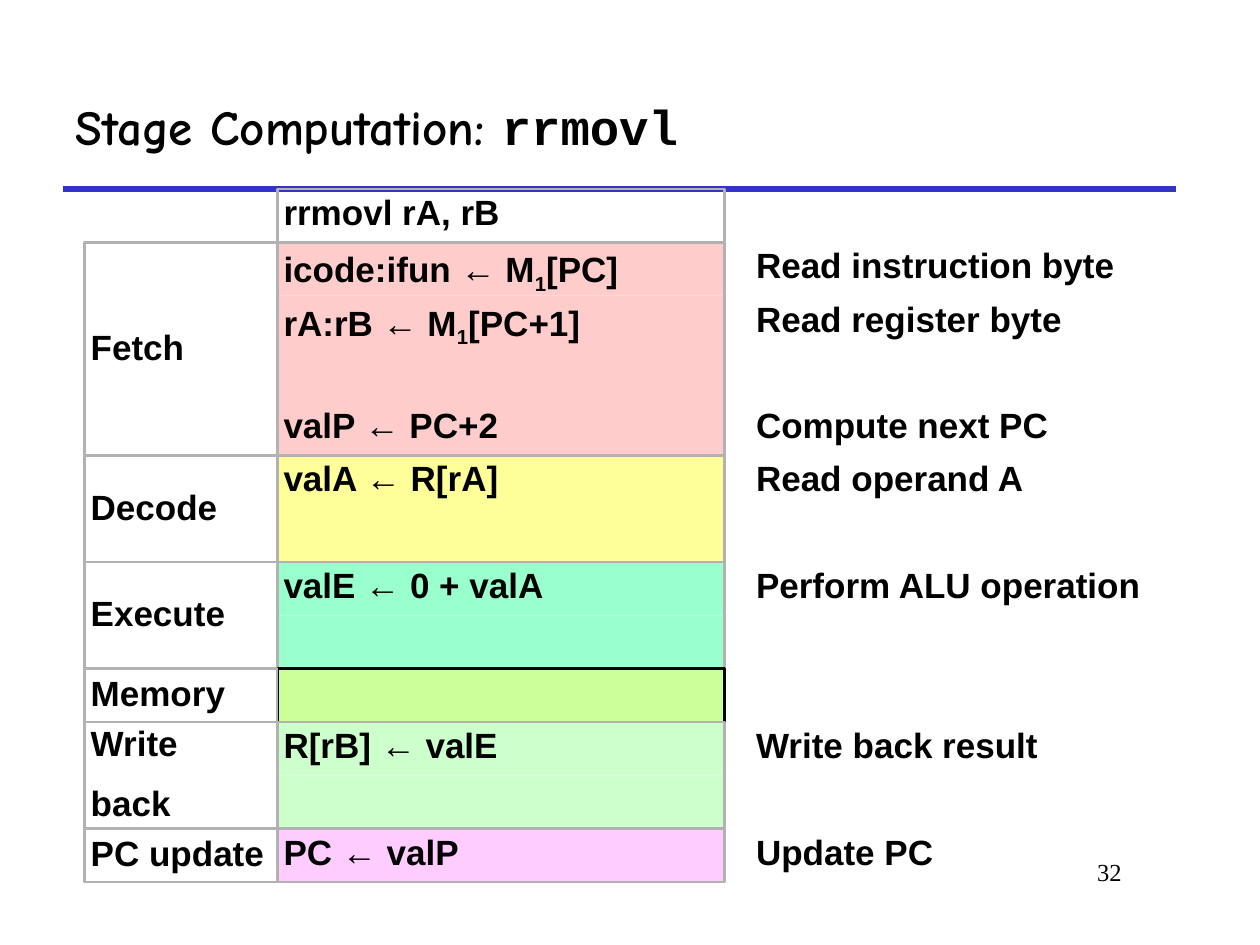
import pptx
import pptx.dml.color
import pptx.enum.shapes
import pptx.enum.text
import pptx.oxml.ns
import pptx.util
from lxml import etree

Inches = pptx.util.Inches
ANCHOR = pptx.enum.text.MSO_ANCHOR
ALIGN = pptx.enum.text.PP_ALIGN

GRAY = "B2B2B2"
TOP, BOTTOM, ROW_COUNT = 1.5, 7.0, 13
ROW_HEIGHT = (BOTTOM - TOP) / ROW_COUNT
STAGE_LEFT, STAGE_WIDTH = 0.67, 1.53
STEP_LEFT, NOTE_LEFT, STEP_WIDTH = 2.2, 5.95, 3.55

# Stage, fill, border, and one (step, note) pair per row; ~ encloses a subscript.
STAGES = [
    ("Fetch", "FFCCCC", GRAY, [
        ("icode:ifun ← M~1~[PC]", "Read instruction byte"),
        ("rA:rB ← M~1~[PC+1]", "Read register byte"),
        ("", ""),
        ("valP ← PC+2", "Compute next PC")]),
    ("Decode", "FFFF99", GRAY, [("valA ← R[rA]", "Read operand A"), ("", "")]),
    ("Execute", "99FFCC", GRAY, [("valE ← 0 + valA", "Perform ALU operation"), ("", "")]),
    ("Memory", "CCFF99", "000000", [("", "")]),
    ("Write\nback", "CCFFCC", GRAY, [("R[rB] ← valE", "Write back result"), ("", "")]),
    ("PC update", "FFCCFF", GRAY, [("PC ← valP", "Update PC")]),
]


def color(value):
    return pptx.dml.color.RGBColor.from_string(value)


def add_run(paragraph, text, size=20, font="Arial", bold=True, subscript=False):
    run = paragraph.add_run()
    run.text = text
    run.font.size = pptx.util.Pt(size)
    run.font.name = font
    run.font.bold = bold
    run.font.color.rgb = color("000000")
    if subscript:
        run.font._element.set("baseline", "-25000")


def write(frame, text, anchor=ANCHOR.TOP, align=ALIGN.LEFT, inset=(0.05, 0.05),
          line_spacing=0.9, **run_format):
    """Fill a text frame, one paragraph per line, with ~ around subscripts."""
    frame.word_wrap = True
    frame.auto_size = pptx.enum.text.MSO_AUTO_SIZE.NONE
    frame.vertical_anchor = anchor
    frame.margin_left = frame.margin_right = Inches(inset[0])
    frame.margin_top = frame.margin_bottom = Inches(inset[1])
    for index, line in enumerate(text.split("\n")):
        paragraph = frame.add_paragraph() if index else frame.paragraphs[0]
        paragraph.alignment = align
        paragraph.line_spacing = line_spacing
        paragraph.space_before = pptx.util.Pt(12.5 if index else 0)
        for part, piece in enumerate(line.split("~")):
            add_run(paragraph, piece, subscript=part % 2 == 1, **run_format)


def add_cell(slide, left, row, width, text="", rows=1, fill=None, border=None, **text_format):
    cell = slide.shapes.add_shape(
        pptx.enum.shapes.MSO_SHAPE.RECTANGLE, Inches(left),
        Inches(TOP + row * ROW_HEIGHT), Inches(width), Inches(rows * ROW_HEIGHT))
    cell.shadow.inherit = False
    if fill:
        cell.fill.solid()
        cell.fill.fore_color.rgb = color(fill)
    else:
        cell.fill.background()
    if border:
        cell.line.color.rgb = color(border)
        cell.line.width = pptx.util.Pt(1.5)
    else:
        cell.line.fill.background()
    if text:
        write(cell.text_frame, text, **text_format)


def add_text(slide, text, left, top, width, height, **text_format):
    box = slide.shapes.add_textbox(Inches(left), Inches(top), Inches(width), Inches(height))
    write(box.text_frame, text, **text_format)


def add_title(slide):
    title = slide.shapes.title
    title.left, title.top = Inches(0.5), Inches(0.5)
    title.width, title.height = Inches(8.83), Inches(1)
    write(title.text_frame, "Stage Computation: ", anchor=ANCHOR.MIDDLE,
          inset=(0.1, 0.05), line_spacing=1, size=28, font="Comic Neue")
    add_run(title.text_frame.paragraphs[0], "rrmovl", size=28, font="Courier New")


def add_title_rule(slide):
    rule = slide.shapes.add_connector(
        pptx.enum.shapes.MSO_CONNECTOR.STRAIGHT,
        Inches(0.5), Inches(TOP), Inches(9.33), Inches(TOP))
    rule.line.color.rgb = color("3333CC")
    rule.line.width = pptx.util.Pt(3)
    etree.SubElement(rule._element.spPr, pptx.oxml.ns.qn("a:effectLst"))


def add_stage(slide, first_row, name, fill, border, steps):
    for row, (step, note) in enumerate(steps, first_row):
        add_cell(slide, STEP_LEFT, row, STEP_WIDTH, step, fill=fill)
        if note:
            add_text(slide, note, NOTE_LEFT, TOP + row * ROW_HEIGHT, STEP_WIDTH, ROW_HEIGHT)
    add_cell(slide, STEP_LEFT, first_row, STEP_WIDTH, rows=len(steps), border=border)
    add_cell(slide, STAGE_LEFT, first_row, STAGE_WIDTH, name, rows=len(steps),
             border=GRAY, anchor=ANCHOR.MIDDLE)


def main():
    deck = pptx.Presentation()
    deck.slide_width, deck.slide_height = Inches(10), Inches(7.5)
    slide = deck.slides.add_slide(deck.slide_layouts[5])
    add_title_rule(slide)
    add_title(slide)
    add_text(slide, "32", 7.58, 6.75, 1.42, 0.5, align=ALIGN.RIGHT, inset=(0.1, 0.05),
             line_spacing=1, size=14, font="Times New Roman", bold=False)
    add_cell(slide, STEP_LEFT, 0, STEP_WIDTH, "rrmovl rA, rB", border=GRAY)
    row = 1
    for name, fill, border, steps in STAGES:
        add_stage(slide, row, name, fill, border, steps)
        row += len(steps)
    deck.save("out.pptx")


if __name__ == "__main__":
    main()
